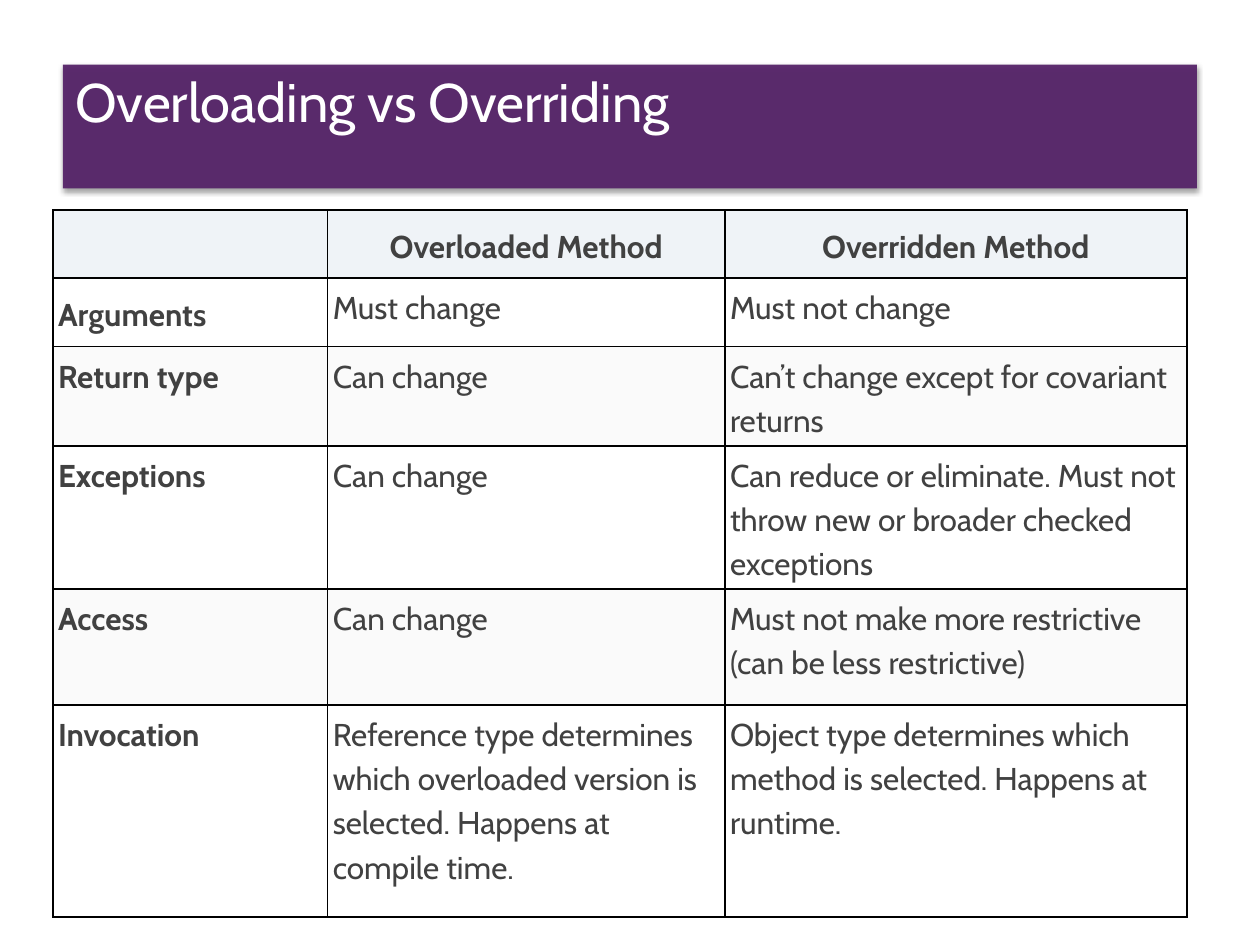
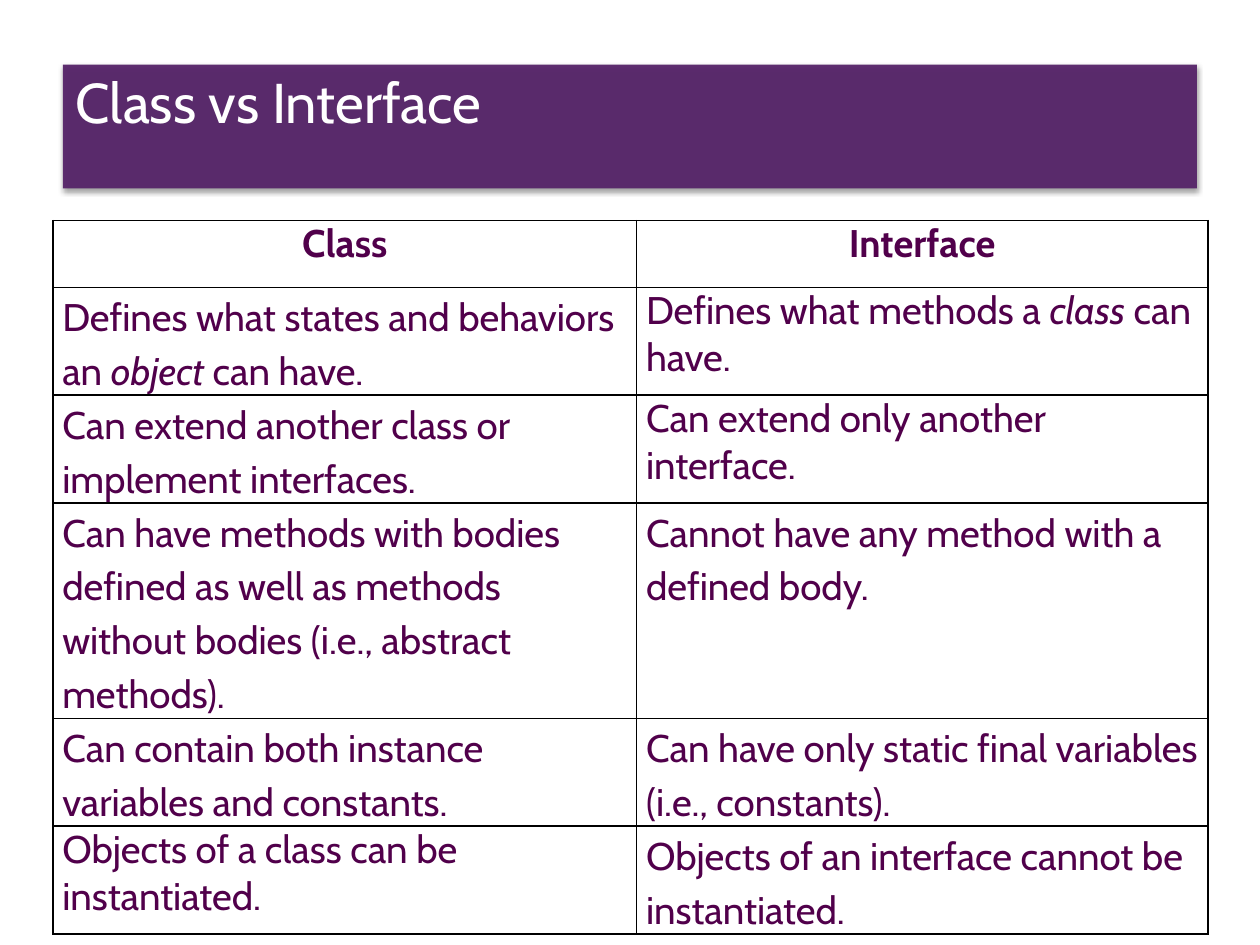
from dataclasses import dataclass

from lxml.etree import SubElement
from pptx import Presentation
from pptx.dml.color import RGBColor as RGB
from pptx.enum.shapes import MSO_SHAPE as SHAPE
from pptx.enum.text import MSO_ANCHOR as ANCHOR, PP_ALIGN as ALIGN
from pptx.oxml.ns import qn
from pptx.util import Pt


@dataclass(frozen=True)
class Theme:
    font: str = "Cabin"
    band: str = "562469"
    title: str = "FFFFFF"
    border: str = "000000"
    gray: str = "414141"
    plum: str = "51004B"
    header: str = "EFF3F7"
    stripe: str = "FAFAFA"
    methods_size: int = 18
    types_size: int = 22
    loose: float = 1.15


THEME = Theme()

METHODS = [
    ("", "Overloaded Method", "Overridden Method"),
    ("Arguments", "Must change", "Must not change"),
    ("Return type", "Can change", "Can’t change except for covariant returns"),
    ("Exceptions", "Can change",
     "Can reduce or eliminate. Must not throw new or broader checked exceptions"),
    ("Access", "Can change",
     "Must not make more restrictive (can be less restrictive)"),
    ("Invocation",
     "Reference type determines which overloaded version is selected. "
     "Happens at compile time.",
     "Object type determines which method is selected. Happens at runtime."),
]

# Words between asterisks are italic.
TYPES = [
    ("Class", "Interface"),
    ("Defines what states and behaviors an *object* can have.",
     "Defines what methods a *class* can have."),
    ("Can extend another class or implement interfaces.",
     "Can extend only another interface."),
    ("Can have methods with bodies defined as well as methods without bodies "
     "(i.e., abstract methods).",
     "Cannot have any method with a defined body."),
    ("Can contain both instance variables and constants.",
     "Can have only static final variables (i.e., constants)."),
    ("Objects of a class can be instantiated.",
     "Objects of an interface cannot be instantiated."),
]
SINGLE_SPACED = {(0, 0), (0, 1), (1, 1), (2, 1), (5, 0)}


def style_font(p, size, color, bold=False):
    p.font.name = THEME.font
    p.font.size = Pt(size)
    p.font.bold = bold
    p.font.color.rgb = RGB.from_string(color)


def set_margins(box, left, top, right, bottom):
    box.margin_left, box.margin_top = Pt(left), Pt(top)
    box.margin_right, box.margin_bottom = Pt(right), Pt(bottom)


def set_alpha(color, percent):
    SubElement(color, qn("a:alpha"), val=str(percent * 1000))


def add_title(slide, text, size):
    s = slide.shapes.add_shape(SHAPE.RECTANGLE, Pt(36), Pt(36.9), Pt(648), Pt(70.8))
    s.fill.solid()
    s.fill.fore_color.rgb = RGB.from_string(THEME.band)
    set_alpha(s.fill._xPr.find(".//" + qn("a:srgbClr")), 95)
    s.line.fill.background()
    s.shadow.inherit = False
    shadow = SubElement(s._element.spPr.find(qn("a:effectLst")), qn("a:outerShdw"),
                        blurRad=str(Pt(3)), dist=str(Pt(1.5)), dir="5400000", rotWithShape="0")
    set_alpha(SubElement(shadow, qn("a:srgbClr"), val="000000"), 38)
    tf = s.text_frame
    tf.word_wrap = True
    tf.vertical_anchor = ANCHOR.TOP
    set_margins(tf, 7.2, 0, 7.2, 3.6)
    p = tf.paragraphs[0]
    p.alignment = ALIGN.LEFT
    p.line_spacing = 1.05
    style_font(p, size, THEME.title)
    p.add_run().text = text


def add_borders(cell):
    tcPr = cell._tc.get_or_add_tcPr()
    for i, side in enumerate(("lnL", "lnR", "lnT", "lnB")):
        ln = tcPr.makeelement(qn("a:" + side), {"w": str(Pt(1))})
        SubElement(SubElement(ln, qn("a:solidFill")), qn("a:srgbClr"), val=THEME.border)
        tcPr.insert(i, ln)


def add_grid(slide, content, top, widths, heights, style_cell):
    """Add a bordered table; style_cell(cell, paragraph, row, column) sets its look."""
    frame = slide.shapes.add_table(len(heights), len(widths), Pt(30.2), Pt(top),
                                   Pt(sum(widths)), Pt(sum(heights)))
    table = frame.table
    table.first_row = table.horz_banding = False
    for column, width in zip(table.columns, widths):
        column.width = Pt(width)
    for row, height in zip(table.rows, heights):
        row.height = Pt(height)
    for i, texts in enumerate(content):
        for j, text in enumerate(texts):
            cell = table.cell(i, j)
            cell.fill.background()
            p = cell.text_frame.paragraphs[0]
            style_cell(cell, p, i, j)
            for n, part in enumerate(text.split("*")):
                if part:
                    r = p.add_run()
                    r.text = part
                    if n % 2:
                        r.font.italic = True
            add_borders(cell)


def style_methods(cell, p, i, j):
    set_margins(cell, 3, 3, 3, 3)
    style_font(p, THEME.methods_size, THEME.gray, bold=i == 0 or j == 0)
    p.line_spacing = THEME.loose
    if i == 0:
        p.alignment = ALIGN.CENTER
    if i == 0 or (i, j) == (1, 0):
        cell.vertical_anchor = ANCHOR.MIDDLE
    else:
        p.space_after = Pt(10)
    if i % 2 == 0:
        cell.fill.solid()
        cell.fill.fore_color.rgb = RGB.from_string(THEME.stripe if i else THEME.header)


def style_types(cell, p, i, j):
    set_margins(cell, 5.4, 0, 5.4, 0)
    style_font(p, THEME.types_size, THEME.plum, bold=i == 0)
    p.line_spacing = 1.0 if (i, j) in SINGLE_SPACED else THEME.loose
    if i == 0:
        p.alignment = ALIGN.CENTER


SLIDES = [
    ("Overloading vs Overriding", 31, METHODS, 120,
     (157, 227, 264), (39, 39.2, 56.6, 81.8, 66.4, 121), style_methods),
    ("Class vs Interface", 32, TYPES, 126,
     (333.6, 326.4), (38.2, 61.6, 61.6, 123, 61.6, 61.6), style_types),
]


def main():
    prs = Presentation()
    prs.slide_width, prs.slide_height = Pt(720), Pt(540)
    for title, size, *grid in SLIDES:
        slide = prs.slides.add_slide(prs.slide_layouts[6])
        add_title(slide, title, size)
        add_grid(slide, *grid)
    prs.save("out.pptx")


if __name__ == "__main__":
    main()
